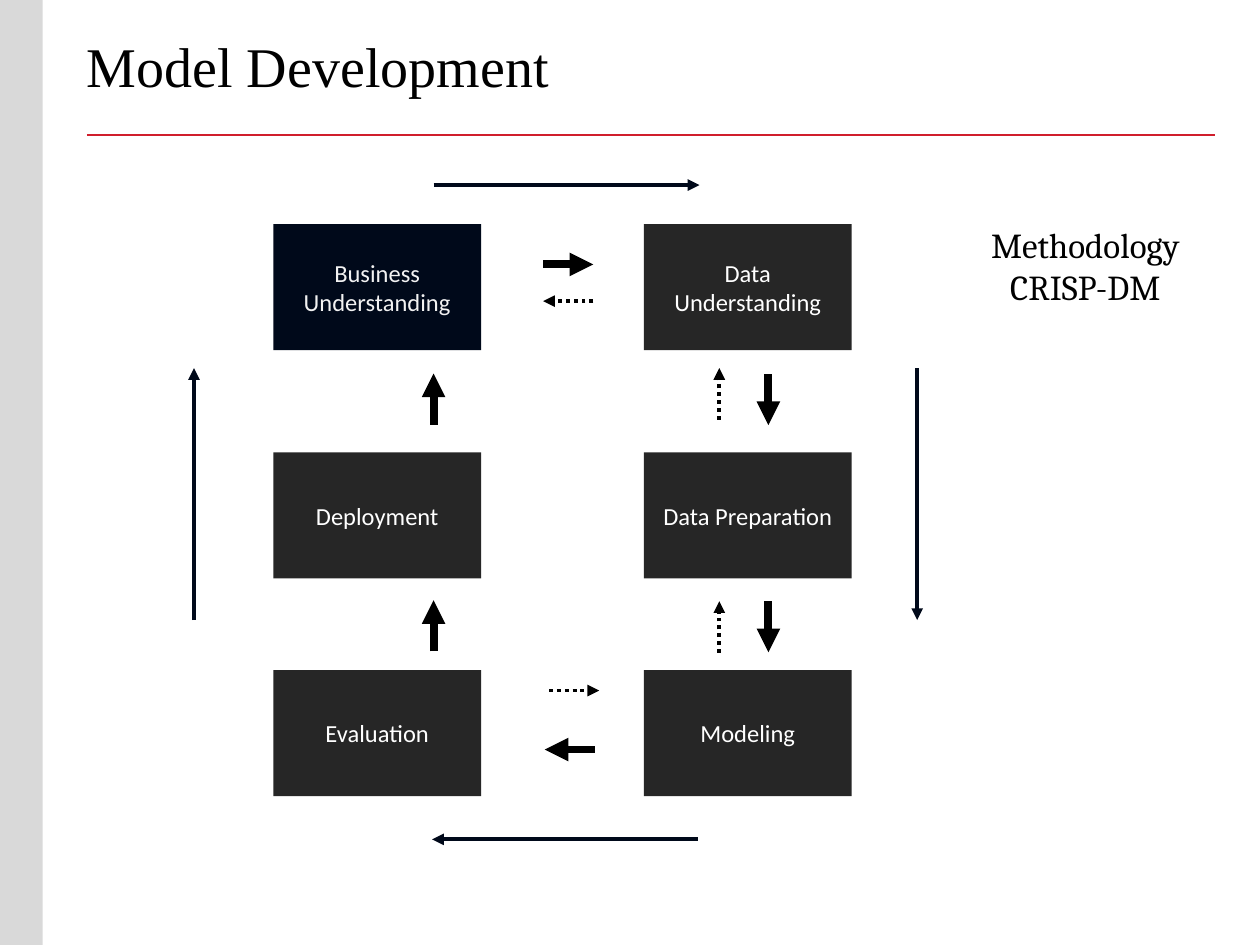
"""Build the Model Development slide with the CRISP-DM cycle."""
from lxml import etree
from pptx import Presentation
from pptx.dml.color import RGBColor
from pptx.enum.dml import MSO_LINE
from pptx.enum.shapes import MSO_CONNECTOR, MSO_SHAPE
from pptx.enum.text import MSO_ANCHOR as Anchor, PP_ALIGN as Align
from pptx.oxml.ns import qn
from pptx.util import Cm, Pt

COLORS = {"sidebar": "D9D9D9", "rule": "D01E2C", "navy": "00091A", "dark": "262626",
          "black": "000000", "white": "FFFFFF", "pale": "F2F2F2"}

TITLE = "Model Development"
METHODOLOGY = ["Methodology", "CRISP-DM"]
PHASES = [
    ["Business Understanding", "Data Understanding"],
    ["Deployment", "Data Preparation"],
    ["Evaluation", "Modeling"],
]
COLUMN_LEFTS = [5.51, 12.98]
ROW_TOPS = [4.52, 9.12, 13.51]
PHASE_WIDTH, PHASE_HEIGHT = 4.19, 2.54

DIRECTIONS = {"right": (1, 0), "left": (-1, 0), "down": (0, 1), "up": (0, -1)}
FLOWS = [
    {"color": "black", "weight": 4.5, "dash": None, "reach": (1.01, 1.03), "starts": [
        (10.95, 5.33, "right"), (15.49, 7.54, "down"), (15.49, 12.12, "down"),
        (11.99, 15.11, "left"), (8.74, 8.56, "up"), (8.74, 13.13, "up")]},
    {"color": "black", "weight": 2.25, "dash": MSO_LINE.ROUND_DOT, "reach": (1.01, 1.04), "starts": [
        (11.96, 6.07, "left"), (14.5, 13.16, "up"),
        (11.07, 13.92, "right"), (14.5, 8.46, "up")]},
    {"color": "navy", "weight": 2.25, "dash": None, "reach": (5.36, 5.08), "starts": [
        (8.74, 3.73, "right"), (14.07, 16.92, "left"),
        (18.49, 7.42, "down"), (3.91, 12.5, "up")]},
]


def rgb(name):
    return RGBColor.from_string(COLORS[name])


def write(shape, lines, *, size, font, color="black", align=Align.CENTER,
          anchor=Anchor.MIDDLE, wrap=True):
    frame = shape.text_frame
    frame.word_wrap = wrap
    frame.vertical_anchor = anchor
    frame.text = "\n".join(lines)
    for paragraph in frame.paragraphs:
        paragraph.alignment = align
        for run in paragraph.runs:
            run.font.size = Pt(size)
            run.font.name = font
            run.font.color.rgb = rgb(color)
    return frame


def add_box(left, top, width, height, color):
    box = slide.shapes.add_shape(MSO_SHAPE.RECTANGLE, Cm(left), Cm(top), Cm(width), Cm(height))
    box.shadow.inherit = False
    box.fill.solid()
    box.fill.fore_color.rgb = rgb(color)
    box.line.fill.background()
    return box


def add_line(start, end, color, weight, dash=None, arrow=False):
    connector = slide.shapes.add_connector(
        MSO_CONNECTOR.STRAIGHT, *(Cm(value) for value in (*start, *end)))
    connector.line.color.rgb = rgb(color)
    connector.line.width = Pt(weight)
    if dash:
        connector.line.dash_style = dash
    if arrow:
        etree.SubElement(connector.line._get_or_add_ln(), qn("a:tailEnd"), type="triangle")
    etree.SubElement(connector._element.spPr, qn("a:effectLst"))


deck = Presentation()
deck.slide_width, deck.slide_height = Cm(25.4), Cm(19.05)
slide = deck.slides.add_slide(deck.slide_layouts[6])

add_box(0, 0, 0.86, 19.05, "sidebar")
add_line((1.75, 2.72), (24.49, 2.72), "rule", 1.25)

title = slide.shapes.add_textbox(Cm(1.5), Cm(0.33), Cm(23.29), Cm(3.18))
title_frame = write(title, [TITLE], size=32, font="Times New Roman",
                    align=Align.LEFT, anchor=Anchor.TOP)
title_frame.margin_top = Cm(0.3)

for row, (top, names) in enumerate(zip(ROW_TOPS, PHASES)):
    for column, (left, name) in enumerate(zip(COLUMN_LEFTS, names)):
        is_first = row == column == 0
        phase = add_box(left, top, PHASE_WIDTH, PHASE_HEIGHT, "navy" if is_first else "dark")
        write(phase, [name], size=14, font="Calibri", color="pale" if is_first else "white")

for flow in FLOWS:
    across, along = flow["reach"]
    for x, y, direction in flow["starts"]:
        dx, dy = DIRECTIONS[direction]
        add_line((x, y), (x + dx * across, y + dy * along),
                 flow["color"], flow["weight"], flow["dash"], arrow=True)

methodology = slide.shapes.add_textbox(Cm(19.71), Cm(4.39), Cm(4.34), Cm(1.96))
write(methodology, METHODOLOGY, size=20, font="Cambria", anchor=Anchor.TOP, wrap=False)

deck.save("out.pptx")
